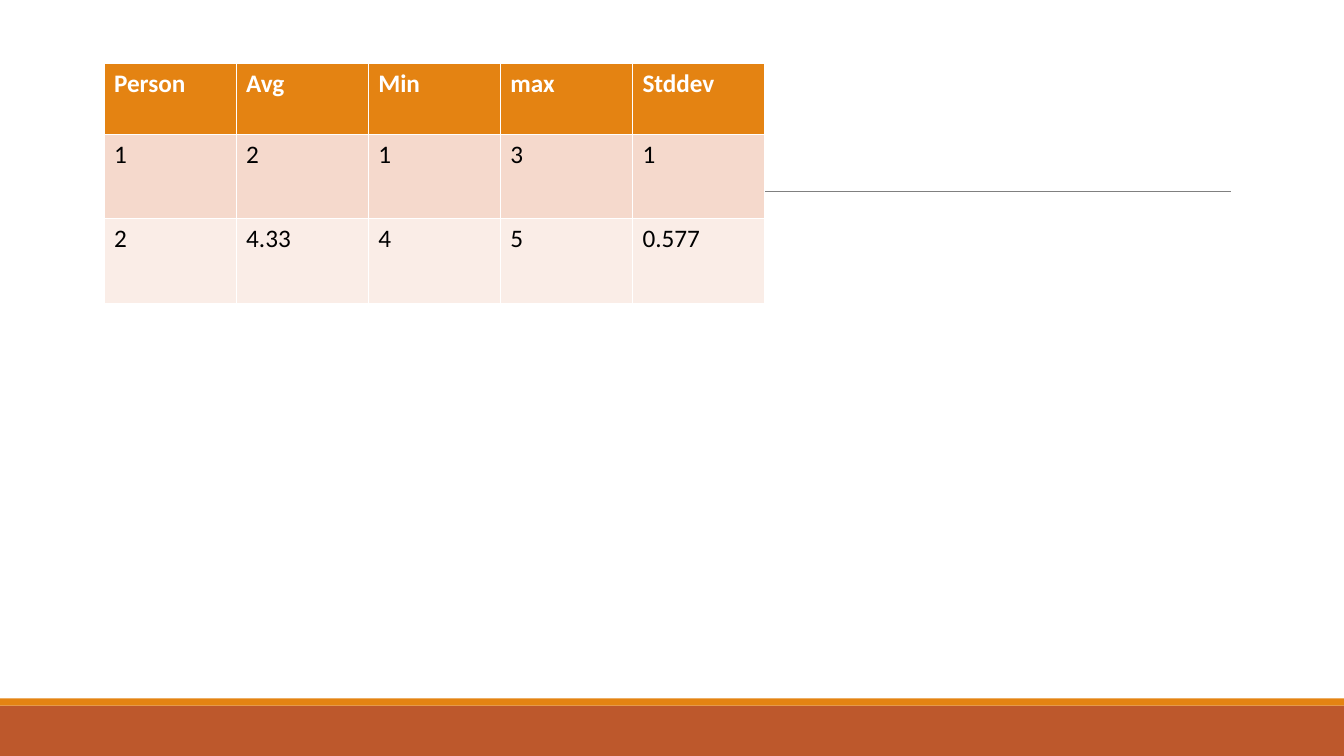
from dataclasses import dataclass

from lxml import etree
from pptx import Presentation
from pptx.dml.color import RGBColor
from pptx.enum.shapes import MSO_CONNECTOR, MSO_SHAPE
from pptx.oxml.ns import qn
from pptx.util import Cm, Pt

RECTANGLE = MSO_SHAPE.RECTANGLE
STRAIGHT = MSO_CONNECTOR.STRAIGHT
BLANK_LAYOUT = 6
SLIDE_WIDTH, SLIDE_HEIGHT = 33.87, 19.05


@dataclass(frozen=True)
class Theme:
    font: str = "Calibri"
    size: int = 18
    rule_width: float = 0.5
    accent: str = "E48312"
    footer: str = "BD582C"
    rule: str = "808080"
    bands: tuple = ("F5D9CC", "FAEDE7")
    header_text: str = "FFFFFF"
    body_text: str = "000000"


def write(frame, text, *, font, size, color, bold=False):
    run = frame.paragraphs[0].add_run()
    run.text = text
    run.font.name = font
    run.font.size = Pt(size)
    run.font.bold = bold
    run.font.color.rgb = RGBColor.from_string(color)


class SlideBuilder:
    def __init__(self, slide, theme):
        self.slide = slide
        self.theme = theme

    def bar(self, top, height, color):
        band = self.slide.shapes.add_shape(
            RECTANGLE, 0, Cm(top), Cm(SLIDE_WIDTH), Cm(height))
        band.shadow.inherit = False
        band.fill.solid()
        band.fill.fore_color.rgb = RGBColor.from_string(color)
        band.line.fill.background()

    def rule(self, left, right, y):
        divider = self.slide.shapes.add_connector(
            STRAIGHT, Cm(left), Cm(y), Cm(right), Cm(y))
        divider.line.color.rgb = RGBColor.from_string(self.theme.rule)
        divider.line.width = Pt(self.theme.rule_width)
        etree.SubElement(divider._element.spPr, qn("a:effectLst"))

    def table(self, left, top, column_width, row_heights, rows):
        theme = self.theme
        columns = len(rows[0])
        statistics = self.slide.shapes.add_table(
            len(rows), columns, Cm(left), Cm(top),
            Cm(column_width * columns), Cm(sum(row_heights))).table
        for column in statistics.columns:
            column.width = Cm(column_width)
        for index, (values, height) in enumerate(zip(rows, row_heights)):
            header = index == 0
            fill = theme.accent if header else theme.bands[(index - 1) % 2]
            color = theme.header_text if header else theme.body_text
            statistics.rows[index].height = Cm(height)
            for cell, value in zip(statistics.rows[index].cells, values):
                cell.fill.solid()
                cell.fill.fore_color.rgb = RGBColor.from_string(fill)
                write(cell.text_frame, value, font=theme.font,
                      size=theme.size, color=color, bold=header)


def main():
    deck = Presentation()
    deck.slide_width, deck.slide_height = Cm(SLIDE_WIDTH), Cm(SLIDE_HEIGHT)
    theme = Theme()
    builder = SlideBuilder(
        deck.slides.add_slide(deck.slide_layouts[BLANK_LAYOUT]), theme)

    builder.bar(17.78, 1.27, theme.footer)
    builder.bar(17.6, 0.18, theme.accent)
    builder.rule(3.33, 31.01, 4.82)
    builder.table(2.62, 1.6, 3.33, (1.78, 2.13, 2.13), (
        ("Person", "Avg", "Min", "max", "Stddev"),
        ("1", "2", "1", "3", "1"),
        ("2", "4.33", "4", "5", "0.577"),
    ))
    deck.save("out.pptx")


if __name__ == "__main__":
    main()
